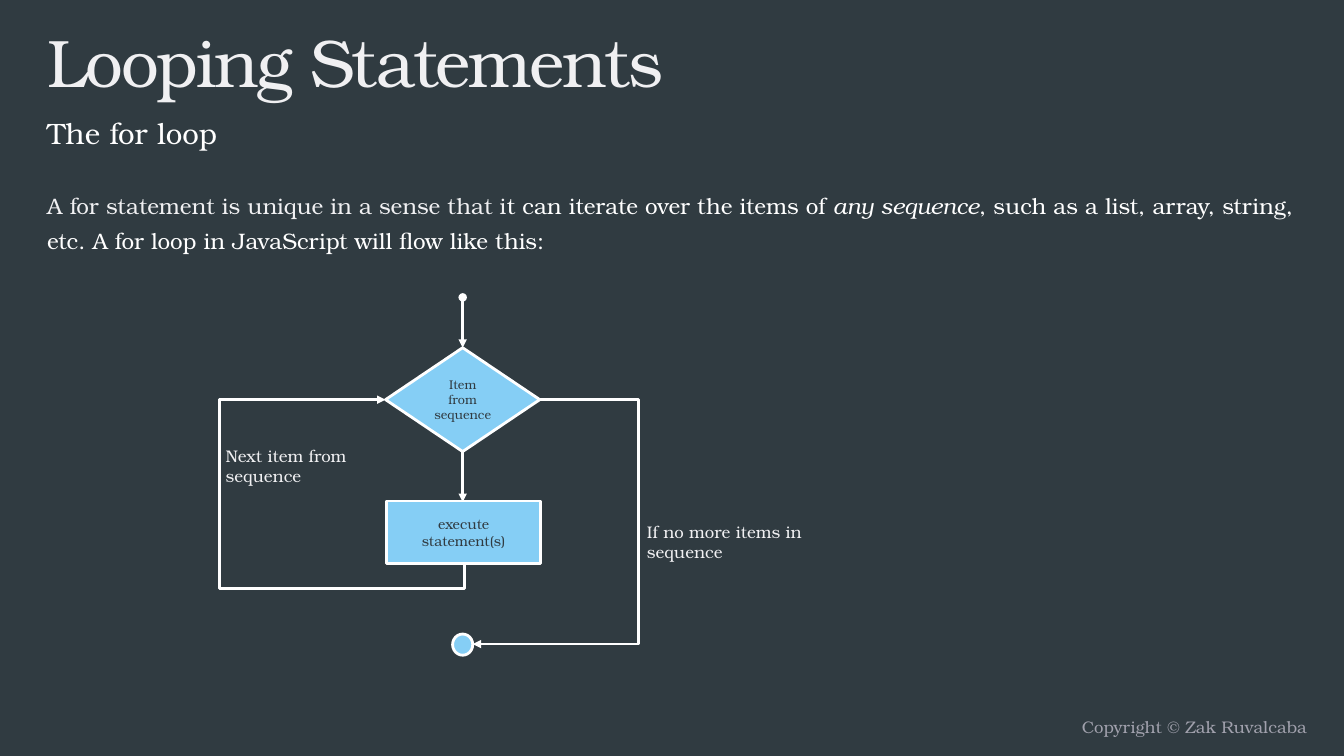
from lxml import etree
from pptx import Presentation, util as u
from pptx.dml.color import RGBColor
from pptx.enum import shapes, text
from pptx.oxml.ns import qn

INK = {"back": "303B41", "pale": "F0F0F2", "white": "FFFFFF", "sky": "85CEF5", "grey": "A1A1AD"}
FACE = "TeX Gyre Bonum"
CELL = 0.1
WIDE, HIGH = 133.33, 75
KIND, ALIGN, ANCHOR = shapes.MSO_SHAPE, text.PP_ALIGN, text.MSO_ANCHOR


def place(box, x, y, w, h):
    """Turn grid cells within a box into slide lengths."""
    return [u.Inches(n * CELL) for n in (box[0] + x, box[1] + y, w, h)]


def paint(font, size, ink):
    """Set face, size and colour of a font."""
    font.name, font.size = FACE, u.Pt(size)
    font.color.rgb = RGBColor.from_string(INK[ink])


def write(shape, words, size, ink, align=ALIGN.LEFT, anchor=ANCHOR.TOP, lead=None):
    """Fill a shape with one wrapped paragraph and return it."""
    frame = shape.text_frame
    frame.word_wrap, frame.vertical_anchor = True, anchor
    par = frame.paragraphs[0]
    par.text, par.alignment, par.line_spacing = words, align, lead
    paint(par.font, size, ink)
    return par


def label(slide, box, words, size, ink, **style):
    """Add a text box that fills the given box."""
    shape = slide.shapes.add_textbox(*place(box, 0, 0, *box[2:]))
    return write(shape, words, size, ink, **style)


def head(slide, box):
    """Set the title and the subtitle below it."""
    title = slide.shapes.title
    title.left, title.top, title.width, title.height = place(box, 0, 0, box[2], 7.9)
    par = write(title, "Looping Statements", 48, "pale", anchor=ANCHOR.MIDDLE)
    par.runs[0].font._element.set("spc", "-150")
    label(slide, (box[0], box[1] + 7.8, box[2], 3.9), "The for loop", 21, "white", lead=1.3)


def body(slide, box):
    """Add the paragraph that explains the loop."""
    par = label(slide, box, "", 16, "white", lead=1.3)
    parts = (("A\u00a0for\u00a0statement is unique in a sense that i", "pale", False),
             ("t can iterate over the items of ", "white", False),
             ("any sequence", "white", True),
             (", such as a list, array, string, etc. "
              "A for loop in JavaScript will flow like this:", "white", False))
    for words, ink, slant in parts:
        run = par.add_run()
        run.text, run.font.italic = words, slant
        paint(run.font, 16, ink)


def stroke(line):
    """Give an outline or arrow its white two-point line."""
    line.color.rgb, line.width = RGBColor.from_string(INK["white"]), u.Pt(2)


def node(slide, kind, spot, words="", size=10):
    """Add a flowchart node."""
    shape = slide.shapes.add_shape(kind, *spot)
    shape.shadow.inherit = False
    shape.fill.solid()
    shape.fill.fore_color.rgb = RGBColor.from_string(INK["sky"])
    stroke(shape.line)
    if words:
        write(shape, words, size, "back", ALIGN.CENTER, ANCHOR.MIDDLE)


def arrow(slide, spot, kind=shapes.MSO_CONNECTOR.STRAIGHT, start=None):
    """Add an arrow that spans a spot from corner to corner."""
    x, y, w, h = spot
    line = slide.shapes.add_connector(kind, x, y, x + w, y + h)
    stroke(line.line)
    pen = line.line._get_or_add_ln()
    if start:
        etree.SubElement(pen, qn("a:headEnd"), type=start)
    etree.SubElement(pen, qn("a:tailEnd"), type="triangle")
    etree.SubElement(line._element.spPr, qn("a:effectLst"))
    return line


def bend(slide, spot, bends, turn=0):
    """Add a mirrored elbow arrow whose bends are shares of its size."""
    line = arrow(slide, spot, shapes.MSO_CONNECTOR.ELBOW)
    props = line._element.spPr
    form, shape = props.find(qn("a:xfrm")), props.find(qn("a:prstGeom"))
    form.set("flipH", "1")
    form.set("rot", str(turn * 60000))
    shape.set("prst", f"bentConnector{len(bends) + 2}")
    guides = shape.find(qn("a:avLst"))
    if guides is None:
        guides = etree.SubElement(shape, qn("a:avLst"))
    for i, share in enumerate(bends, 1):
        name = f"adj{i}" if len(bends) > 1 else "adj1"
        etree.SubElement(guides, qn("a:gd"), name=name, fmla=f"val {round(share * 100000)}")


def flow(slide, box):
    """Draw the loop flowchart and its two notes."""
    mid, wide = 24.9, 15.3
    left = mid - wide / 2
    node(slide, KIND.FLOWCHART_DECISION, place(box, left, 5.5, wide, 10.3), "Item from sequence", 9)
    arrow(slide, place(box, mid, 0.5, 0, 5), start="oval")
    arrow(slide, place(box, mid, 15.7, 0, 5.1))
    bend(slide, place(box, 13, 14.9, 16.3, 7.8), (-0.15, 3.11), 90)
    node(slide, KIND.FLOWCHART_CONNECTOR, place(box, mid - 1, 33.9, 2, 2.1))
    node(slide, KIND.FLOWCHART_PROCESS, place(box, left + 0.1, 20.7, wide, 6.2),
         "execute statement(s)")
    bend(slide, place(box, mid + 1, 10.6, 6.7, 24.3), (-1.46,))
    for x, y, w, words in ((0.4, 14.7, 16, "Next item from sequence"),
                           (42.2, 22.3, 20, "If no more items in sequence")):
        label(slide, (box[0] + x, box[1] + y, w, 5), words, 12, "pale")


def main():
    """Build and save the slide."""
    deck = Presentation()
    deck.slide_width, deck.slide_height = u.Inches(WIDE * CELL), u.Inches(HIGH * CELL)
    slide = deck.slides.add_slide(deck.slide_layouts[5])
    slide.background.fill.solid()
    slide.background.fill.fore_color.rgb = RGBColor.from_string(INK["back"])
    edge = 3.7
    head(slide, (edge, 2.1, 117.6, 11.7))
    body(slide, (edge, 17.8, 126.1, 8))
    flow(slide, (21, 29, 66, 37))
    label(slide, (WIDE / 2, 70.6, 64, 3.1), "Copyright © Zak Ruvalcaba", 12, "grey",
          align=ALIGN.RIGHT)
    deck.save("out.pptx")


main()
